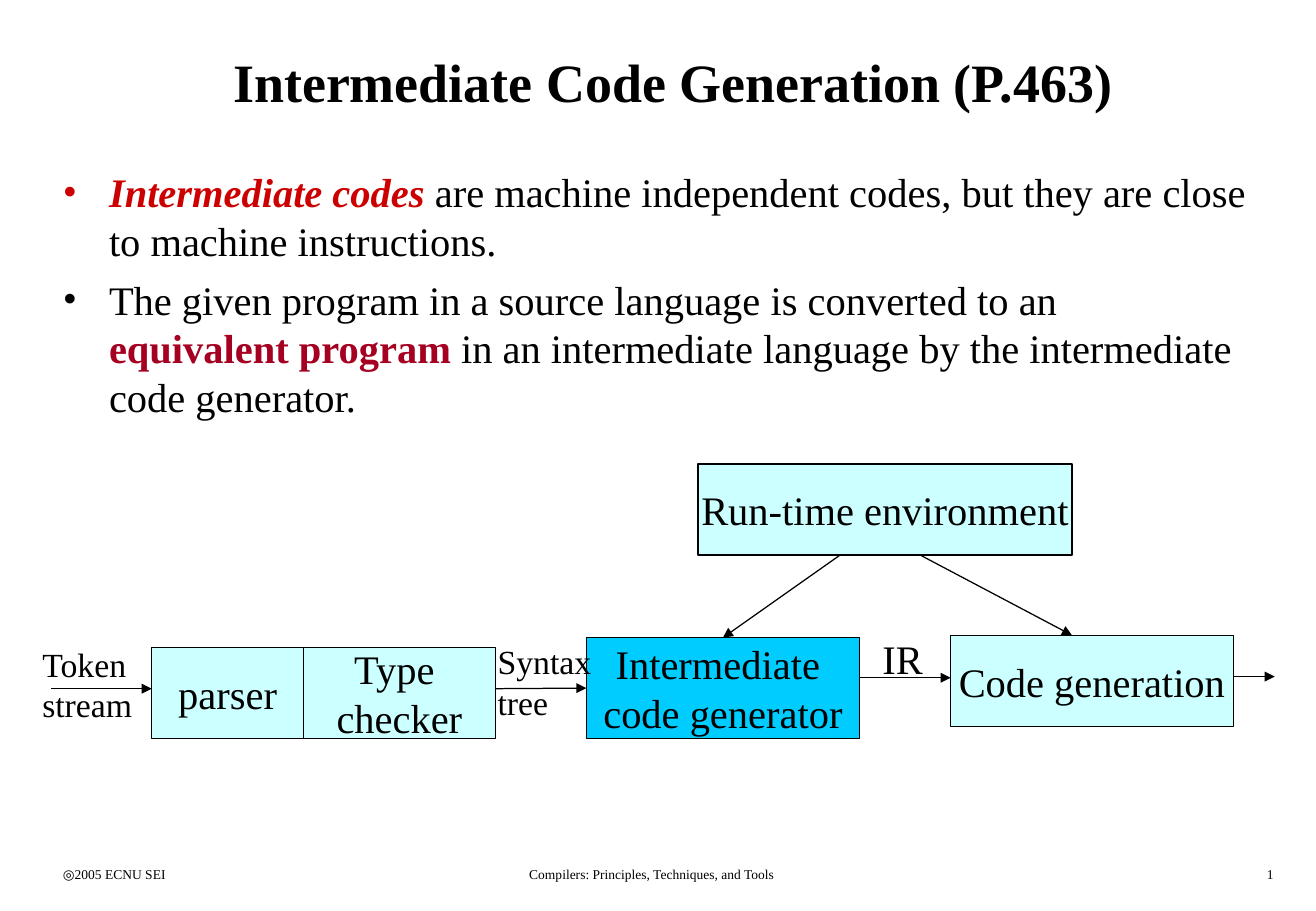
from lxml import etree
from pptx import Presentation
from pptx.dml.color import RGBColor
from pptx.enum.shapes import MSO_CONNECTOR, MSO_SHAPE
from pptx.enum.text import MSO_ANCHOR, PP_ALIGN
from pptx.oxml.ns import qn
from pptx.util import Inches, Pt

RECT = MSO_SHAPE.RECTANGLE
STRAIGHT = MSO_CONNECTOR.STRAIGHT
TOP, MIDDLE = MSO_ANCHOR.TOP, MSO_ANCHOR.MIDDLE
LEFT, CENTER, RIGHT = PP_ALIGN.LEFT, PP_ALIGN.CENTER, PP_ALIGN.RIGHT
FONT = "Times New Roman"
BLACK, RED, CRIMSON = "000000", "CC0000", "A50021"
PALE, BRIGHT = "CCFFFF", "00CCFF"
SIDE_TOP, SIDE_LEFT = 0, 1


def rgb(value):
    return RGBColor.from_string(value)


def add_run(p, text, size=24, color=BLACK, bold=False, italic=False):
    r = p.add_run()
    r.text = text
    r.font.name = FONT
    r.font.size = Pt(size)
    r.font.bold = bold
    r.font.italic = italic
    r.font.color.rgb = rgb(color)


def add_bullet(p, color):
    pPr = p._p.get_or_add_pPr()
    pPr.set("marL", str(Inches(0.38)))
    pPr.set("indent", str(-Inches(0.38)))
    clr = etree.SubElement(pPr, qn("a:buClr"))
    etree.SubElement(clr, qn("a:srgbClr"), val=color)
    etree.SubElement(pPr, qn("a:buFont"), typeface=FONT)
    etree.SubElement(pPr, qn("a:buChar"), char="•")


def write(tf, lines, align=LEFT, anchor=TOP, wrap=True, **style):
    tf.word_wrap = wrap
    tf.vertical_anchor = anchor
    for i, line in enumerate(lines.split("\n")):
        p = tf.paragraphs[0] if i == 0 else tf.add_paragraph()
        p.alignment = align
        add_run(p, line, **style)


def add_label(s, box, text, **style):
    sp = s.shapes.add_textbox(*map(Inches, box))
    write(sp.text_frame, text, **style)


def add_stage(s, box, text, fill=PALE):
    sp = s.shapes.add_shape(RECT, *map(Inches, box))
    sp.shadow.inherit = False
    sp.fill.solid()
    sp.fill.fore_color.rgb = rgb(fill)
    sp.line.color.rgb = rgb(BLACK)
    sp.line.width = Pt(0.75)
    write(sp.text_frame, text, align=CENTER, anchor=MIDDLE, wrap=False)
    return sp


def add_arrow(s, start, end, target=None, side=None):
    c = s.shapes.add_connector(STRAIGHT, *map(Inches, start + end))
    c.line.color.rgb = rgb(BLACK)
    c.line.width = Pt(0.75)
    etree.SubElement(c.line._get_or_add_ln(), qn("a:tailEnd"), type="triangle")
    etree.SubElement(c._element.spPr, qn("a:effectLst"))
    if target is not None:
        c.end_connect(target, side)


def add_points(s, box, points):
    tf = s.shapes.add_textbox(*map(Inches, box)).text_frame
    tf.word_wrap = True
    for i, (bullet_color, runs) in enumerate(points):
        p = tf.paragraphs[0] if i == 0 else tf.add_paragraph()
        if i:
            p.space_before = Pt(6)
        add_bullet(p, bullet_color)
        for text, style in runs:
            if text == "\n":
                p.add_line_break()
            else:
                add_run(p, text, **style)


def main():
    prs = Presentation()
    prs.slide_width, prs.slide_height = Inches(10.84), Inches(7.5)
    s = prs.slides.add_slide(prs.slide_layouts[6])

    add_label(s, (0.42, 0.17, 10.25, 1), "Intermediate Code Generation (P.463)",
              align=CENTER, anchor=MIDDLE, size=32, bold=True)
    add_points(s, (0.42, 1.33, 10, 2.5), [
        (RED, [
            ("Intermediate codes", {"color": RED, "bold": True, "italic": True}),
            (" are machine independent codes, but they are close to machine instructions.", {}),
        ]),
        (BLACK, [
            ("The given program in a source language is converted to an", {}),
            ("\n", {}),
            ("equivalent program", {"color": CRIMSON, "bold": True}),
            (" in an intermediate language by the intermediate code generator.", {}),
        ]),
    ])

    add_stage(s, (1.25, 5.33, 1.25, 0.75), "parser")
    generator = add_stage(s, (4.83, 5.25, 2.25, 0.83), "Intermediate \ncode generator", BRIGHT)
    add_stage(s, (2.5, 5.33, 1.58, 0.75), "Type \nchecker")
    add_stage(s, (7.83, 5.23, 2.33, 0.75), "Code generation")
    add_stage(s, (5.75, 3.82, 3.08, 0.75), "Run-time environment")

    add_label(s, (4, 5.23, 1.08, 0.77), "Syntax tree", size=20)
    add_label(s, (0.25, 5.25, 1.17, 0.77), "Token stream", size=20)
    add_label(s, (7.17, 5.17, 0.53, 0.5), "IR", wrap=False)

    add_arrow(s, (0.42, 5.67), (1.25, 5.67))
    add_arrow(s, (4.08, 5.67), (4.83, 5.67), generator, SIDE_LEFT)
    add_arrow(s, (7.08, 5.58), (7.83, 5.58))
    add_arrow(s, (10.16, 5.57), (10.5, 5.57))
    add_arrow(s, (6.92, 4.57), (5.92, 5.23), generator, SIDE_TOP)
    add_arrow(s, (7.58, 4.57), (8.83, 5.23))

    for left, width, text, align in [
        (0.42, 2.26, "◎2005 ECNU SEI", LEFT),
        (3.34, 4.06, "Compilers: Principles, Techniques, and Tools", CENTER),
        (8.33, 2.26, "1", RIGHT),
    ]:
        add_label(s, (left, 7.08, width, 0.25), text, align=align, size=8)

    prs.save("out.pptx")


if __name__ == "__main__":
    main()
